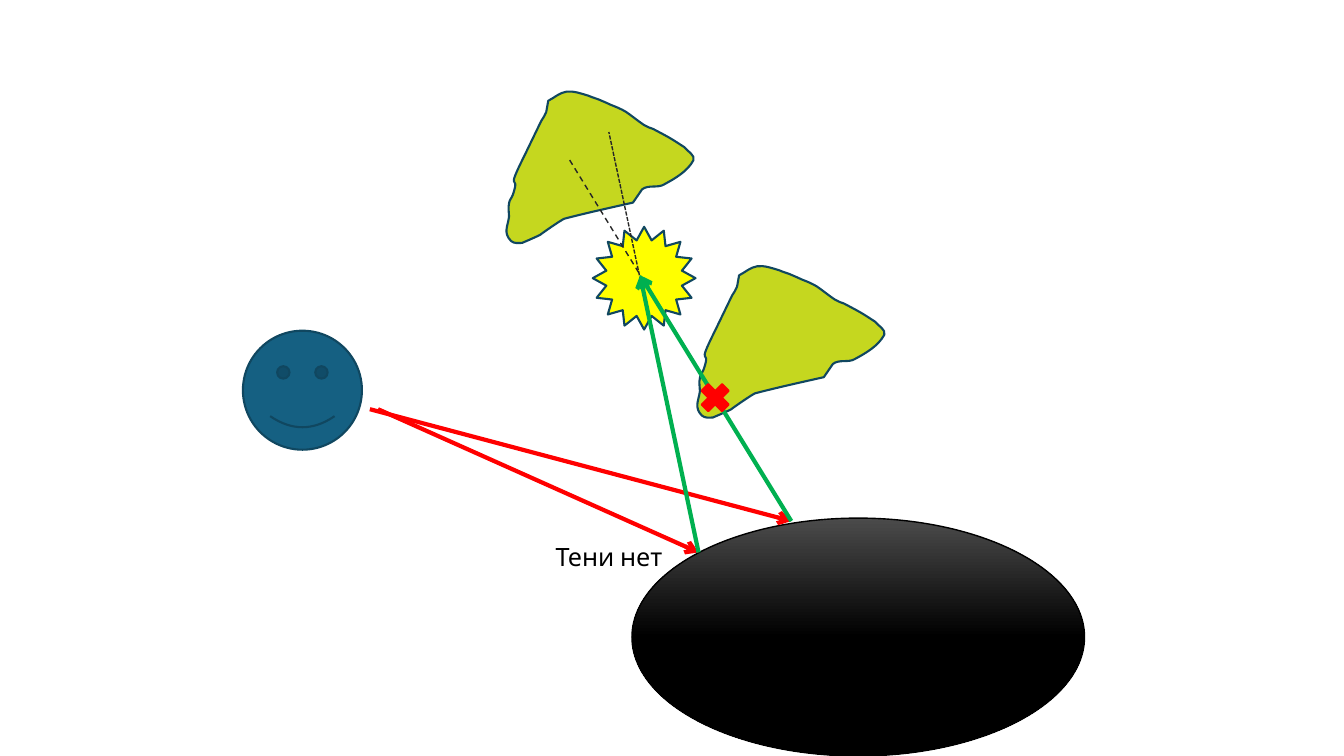
from dataclasses import dataclass
from math import cos, radians, sin
from typing import NamedTuple

from lxml.etree import SubElement
from pptx import Presentation
from pptx.dml.color import RGBColor
from pptx.enum.dml import MSO_LINE
from pptx.enum.shapes import MSO_CONNECTOR, MSO_SHAPE
from pptx.enum.text import MSO_AUTO_SIZE, PP_ALIGN
from pptx.oxml.ns import qn
from pptx.shapes.autoshape import Shape
from pptx.slide import Slide
from pptx.util import Pt


@dataclass(frozen=True)
class Theme:
    font: str = "Cabin"
    label_size: float = 18
    text: str = "000000"
    outline: str = "104760"
    leaf: str = "C5D71F"
    face: str = "156082"
    lamp: str = "FFFF00"
    view: str = "FF0000"
    light: str = "00B050"
    extension: str = "262626"
    ball_top: str = "4B4B4B"
    ball: str = "000000"


class Point(NamedTuple):
    x: float
    y: float


class Figure(NamedTuple):
    kind: MSO_SHAPE
    left: float
    top: float
    width: float
    height: float
    fill: str
    line: str
    line_width: float = 1.5


class Ray(NamedTuple):
    start: Point
    end: Point
    color: str
    width: float = 3
    dash: MSO_LINE | None = None


THEME = Theme()

LEAF_ROTATION = 134.7
LEAF_CENTRE = Point(52.2, 59.4)
LEAF_START = Point(90.7, 79.2)
LEAF_SEGMENTS = [
    [(74.9, 82.8), (58.3, 86.4), (41.8, 90.7)],
    [(39.6, 91.4), (25.2, 101.5), (24.5, 102.2)],
    [(20.2, 104.4), (11.5, 108), (11.5, 108)],
    [(9.4, 108), (5.8, 108.7), (3.6, 106.6)],
    [(-2.2, 100.8), (1.4, 95.8), (2.2, 89.3)],
    [(2.2, 86.4), (1.4, 82.8), (2.2, 79.9)],
    [(2.2, 77.8), (4.3, 75.6), (5, 73.4)],
    [(10.8, 56.2), (-1.4, 74.9), (13, 46.1)],
    [(25.2, 20.9)],
    [(26.6, 18.7), (28.1, 16.6), (28.8, 14.4)],
    [(30.2, 6.5)],
    [(34.6, 4.3), (38.2, 0.7), (43.2, 0)],
    [(48.2, -0.7), (54, 1.4), (59, 2.9)],
    [(61.9, 4.3), (65.5, 5), (68.4, 6.5)],
    [(70.6, 7.2), (72.7, 8.6), (74.9, 9.4)],
    [(78.5, 10.8), (82.1, 12.2), (85.7, 14.4)],
    [(90, 17.3), (94.3, 20.9), (98.6, 23.8)],
    [(100.8, 25.2), (103, 25.9), (105.1, 26.6)],
    [(117.4, 33.1), (117.4, 33.1), (127.4, 39.6)],
    [(129.6, 42.5), (135.4, 45.4), (133.9, 49)],
    [(129.6, 56.9), (121, 61.9), (113, 66.2)],
    [(108.7, 69.1), (101.5, 66.2), (97.2, 69.8)],
]
UPPER_LEAF = Point(360, 64)
LOWER_LEAF = Point(496.3, 188.7)

BALL = Figure(MSO_SHAPE.OVAL, 451.4, 370.1, 323.3, 169.9, THEME.ball, THEME.ball, 1)
FACE = Figure(MSO_SHAPE.SMILEY_FACE, 173.5, 236.2, 85, 85, THEME.face, THEME.outline)
LAMP = Figure(MSO_SHAPE.STAR_16_POINT, 423.4, 162, 73.4, 73.4, THEME.lamp, THEME.outline)
CROSS = Figure(MSO_SHAPE.MATH_MULTIPLY, 496.8, 270, 28.1, 28.1, THEME.view, THEME.view)

RIGHT_HIT = Point(565.2, 372.2)
LEFT_HIT = Point(499, 394.6)
LAMP_CENTRE = Point(457.2, 196.6)
RAYS = [
    Ray(Point(264.2, 292.3), RIGHT_HIT, THEME.view),
    Ray(RIGHT_HIT, Point(406.1, 113), THEME.extension, 1, MSO_LINE.DASH),
    Ray(RIGHT_HIT, LAMP_CENTRE, THEME.light),
    Ray(Point(270, 292.3), LEFT_HIT, THEME.view),
    Ray(LEFT_HIT, Point(434.9, 94.3), THEME.extension, 1, MSO_LINE.SQUARE_DOT),
    Ray(LEFT_HIT, LAMP_CENTRE, THEME.light),
]


def paint(shape: Shape, fill: str, line: str, line_width: float) -> None:
    shape.shadow.inherit = False
    shape.fill.solid()
    shape.fill.fore_color.rgb = RGBColor.from_string(fill)
    shape.line.color.rgb = RGBColor.from_string(line)
    shape.line.width = Pt(line_width)


def add_figure(slide: Slide, figure: Figure) -> Shape:
    shape = slide.shapes.add_shape(
        figure.kind, Pt(figure.left), Pt(figure.top), Pt(figure.width), Pt(figure.height)
    )
    paint(shape, figure.fill, figure.line, figure.line_width)
    return shape


def add_ball(slide: Slide) -> None:
    fill = add_figure(slide, BALL).fill
    fill.gradient()
    fill.gradient_angle = 270
    stops = [(0, THEME.ball_top), (0.5, THEME.ball)]
    for stop, (position, color) in zip(fill.gradient_stops, stops):
        stop.position = position
        stop.color.rgb = RGBColor.from_string(color)


def unrotated(x: float, y: float) -> tuple[int, int]:
    angle = radians(LEAF_ROTATION)
    across, down = x - LEAF_CENTRE.x, y - LEAF_CENTRE.y
    return (
        Pt(LEAF_CENTRE.x + across * cos(angle) + down * sin(angle)),
        Pt(LEAF_CENTRE.y - across * sin(angle) + down * cos(angle)),
    )


def add_leaf(slide: Slide, origin: Point) -> None:
    start = unrotated(*LEAF_START)
    segments = [[unrotated(*point) for point in segment] for segment in LEAF_SEGMENTS]
    ends = [segment[-1] for segment in segments]
    builder = slide.shapes.build_freeform(*start)
    builder.add_line_segments(ends, close=True)
    leaf = builder.convert_to_shape(Pt(origin.x), Pt(origin.y))
    left, top = (min(values) for values in zip(start, *ends))
    for element, segment in zip(list(leaf._element.iter(qn("a:lnTo"))), segments):
        if len(segment) == 3:
            curve = SubElement(element.getparent(), qn("a:cubicBezTo"))
            for x, y in segment:
                SubElement(curve, qn("a:pt"), x=str(x - left), y=str(y - top))
            element.getparent().replace(element, curve)
    leaf.rotation = LEAF_ROTATION
    paint(leaf, THEME.leaf, THEME.outline, 1.5)


def add_ray(slide: Slide, ray: Ray) -> None:
    connector = slide.shapes.add_connector(
        MSO_CONNECTOR.STRAIGHT, Pt(ray.start.x), Pt(ray.start.y), Pt(ray.end.x), Pt(ray.end.y)
    )
    line = connector.line
    line.color.rgb = RGBColor.from_string(ray.color)
    line.width = Pt(ray.width)
    properties = connector._element.spPr
    if ray.dash is None:
        SubElement(properties.find(qn("a:ln")), qn("a:tailEnd"), type="arrow")
    else:
        line.dash_style = ray.dash
    SubElement(properties, qn("a:effectLst"))


def add_label(slide: Slide, text: str) -> None:
    frame = slide.shapes.add_textbox(Pt(349.9), Pt(383), Pt(130.3), Pt(28.8)).text_frame
    frame.word_wrap = True
    frame.auto_size = MSO_AUTO_SIZE.SHAPE_TO_FIT_TEXT
    paragraph = frame.paragraphs[0]
    paragraph.alignment = PP_ALIGN.RIGHT
    run = paragraph.add_run()
    run.text = text
    run.font.name = THEME.font
    run.font.size = Pt(THEME.label_size)
    run.font.color.rgb = RGBColor.from_string(THEME.text)


def main() -> None:
    presentation = Presentation()
    presentation.slide_width = Pt(960)
    presentation.slide_height = Pt(540)
    slide = presentation.slides.add_slide(presentation.slide_layouts[6])
    add_leaf(slide, UPPER_LEAF)
    add_ball(slide)
    add_figure(slide, FACE)
    add_figure(slide, LAMP)
    add_leaf(slide, LOWER_LEAF)
    for ray in RAYS:
        add_ray(slide, ray)
    add_figure(slide, CROSS)
    add_label(slide, "Тени нет")
    presentation.save("out.pptx")


if __name__ == "__main__":
    main()
